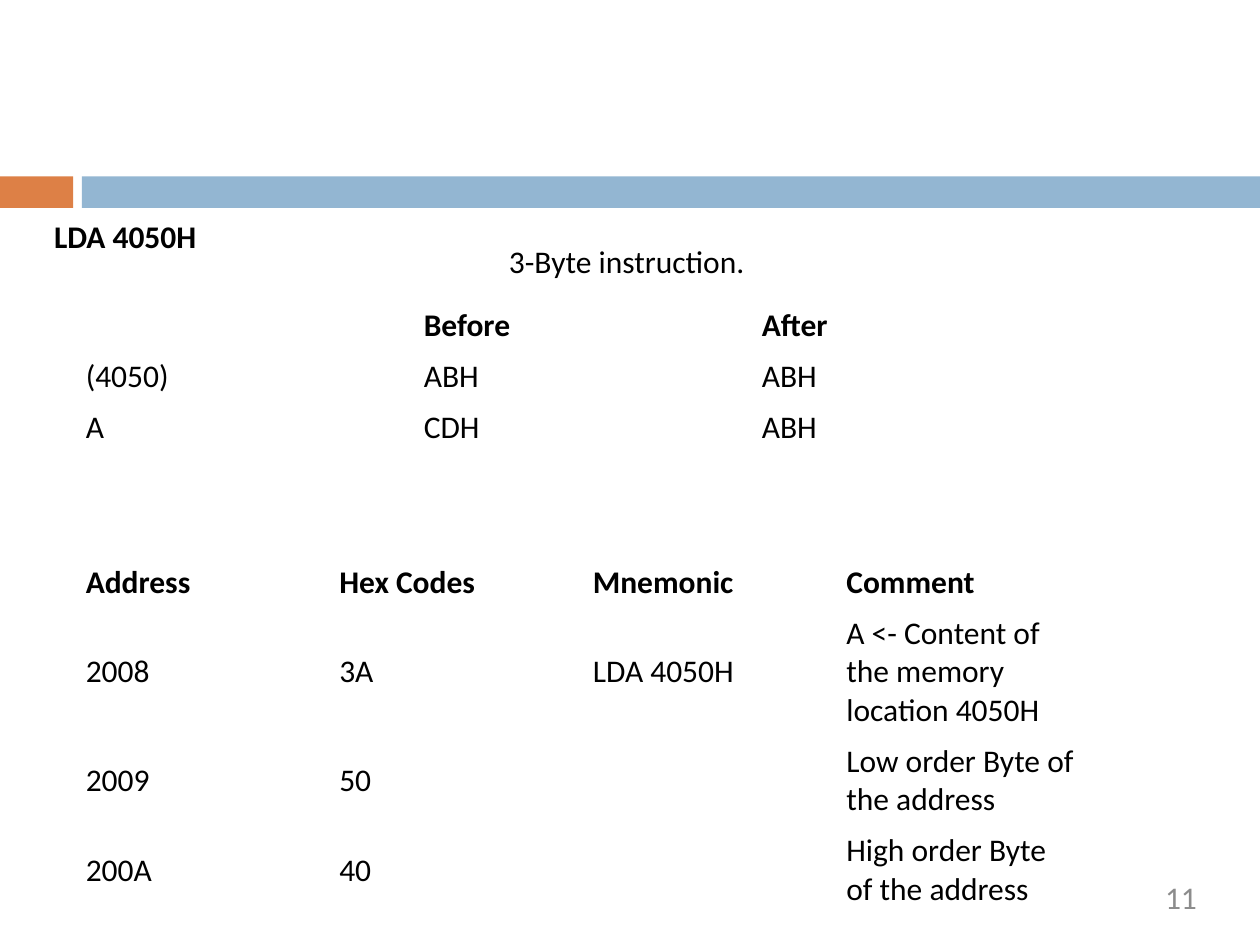
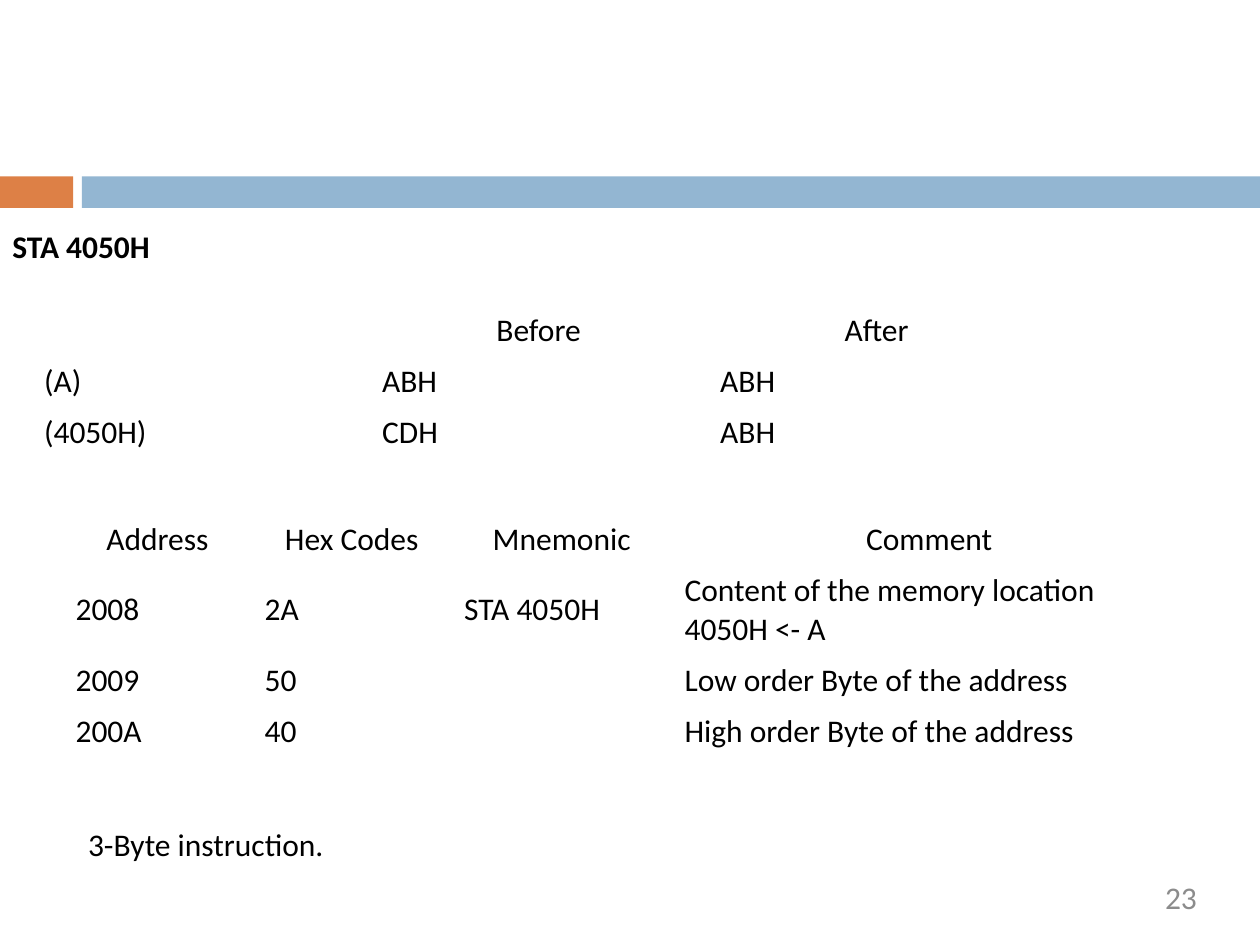
import pptx
import pptx.util
import pptx.dml.color
import pptx.enum.shapes
import pptx.enum.text

Pt = pptx.util.Pt
RGB = pptx.dml.color.RGBColor
ALIGN = pptx.enum.text.PP_ALIGN
ANCHOR = pptx.enum.text.MSO_ANCHOR
FIT = pptx.enum.text.MSO_AUTO_SIZE.SHAPE_TO_FIT_TEXT
RECT = pptx.enum.shapes.MSO_SHAPE.RECTANGLE

ORANGE = RGB(0xDD, 0x80, 0x46)
BLUE = RGB(0x93, 0xB6, 0xD2)
BLACK = RGB(0, 0, 0)
GREY = RGB(0x8C, 0x8C, 0x8C)
FONT = "Calibri"
SIZE = 18
LINE = 22
MARGIN = 3.6
WIDTH, HEIGHT = 720, 540


def add_run(para, text, color=BLACK, bold=False):
    run = para.add_run()
    run.text = text
    font = run.font
    font.name, font.size, font.bold = FONT, Pt(SIZE), bold
    font.color.rgb = color


def add_band(slide, left, width, color):
    band = slide.shapes.add_shape(RECT, Pt(left), Pt(100.8), Pt(width), Pt(18))
    band.shadow.inherit = False
    band.fill.solid()
    band.fill.fore_color.rgb = color
    band.line.fill.background()


def add_label(slide, text, left, top, width, bold=False):
    box = slide.shapes.add_textbox(Pt(left), Pt(top), Pt(width), Pt(29))
    frame = box.text_frame
    frame.word_wrap = False
    frame.auto_size = FIT
    add_run(frame.paragraphs[0], text, bold=bold)


def add_number(slide, number):
    box = slide.shapes.add_textbox(Pt(518.4), Pt(501.8), Pt(165.6), Pt(27.4))
    frame = box.text_frame
    frame.word_wrap = True
    frame.margin_left = frame.margin_right = 0
    frame.margin_top = frame.margin_bottom = 0
    para = frame.paragraphs[0]
    para.alignment = ALIGN.RIGHT
    add_run(para, str(number), GREY)


def add_grid(slide, left, top, widths, rows, lines, bold=False, align=ALIGN.LEFT):
    """Add a plain table; lines counts the text lines of each row,
    bold and align apply to its header row."""
    tall = [LINE * count + 2 * MARGIN for count in lines]
    frame = slide.shapes.add_table(len(rows), len(widths), Pt(left), Pt(top),
                                   Pt(sum(widths)), Pt(sum(tall)))
    table = frame.table
    table.first_row = table.horz_banding = False
    for col, width in zip(table.columns, widths):
        col.width = Pt(width)
    for r, (row, height) in enumerate(zip(rows, tall)):
        table.rows[r].height = Pt(height)
        for c, text in enumerate(row):
            cell = table.cell(r, c)
            cell.fill.background()
            cell.vertical_anchor = ANCHOR.MIDDLE
            para = cell.text_frame.paragraphs[0]
            para.font.size = Pt(SIZE)
            para.alignment = align if r == 0 else ALIGN.LEFT
            if text:
                add_run(para, text, bold=bold and r == 0)


def add_page(deck, number):
    slide = deck.slides.add_slide(deck.slide_layouts[6])
    add_band(slide, 0, 41.8, ORANGE)
    add_band(slide, 46.8, WIDTH - 46.8, BLUE)
    add_number(slide, number)
    return slide


def state_rows(first, second):
    """Both operands before and after: the second takes the first's value."""
    return [("", "Before", "After"),
            (first, "ABH", "ABH"),
            (second, "CDH", "ABH")]


def code_rows(opcode, order, note):
    return [("Address", "Hex Codes", "Mnemonic", "Comment"),
            ("2008", opcode, order, note),
            ("2009", "50", "", "Low order Byte of the address"),
            ("200A", "40", "", "High order Byte of the address")]


def add_load(deck):
    slide = add_page(deck, 11)
    add_label(slide, "LDA 4050H", 23.8, 120.2, 100.8, bold=True)
    add_grid(slide, 41.8, 171.4, [193.2] * 3, state_rows("(4050)", "A"),
             [1, 1, 1], bold=True)
    add_label(slide, "3-Byte instruction.", 283.7, 134.6, 154.8)
    add_grid(slide, 41.8, 318.2, [144.9] * 4,
             code_rows("3A", "LDA 4050H",
                       "A <- Content of the memory location 4050H"),
             [1, 3, 2, 2], bold=True)


def add_store(deck):
    slide = add_page(deck, 23)
    add_label(slide, "STA 4050H", 0, 126, 97.9, bold=True)
    add_grid(slide, 18, 174.2, [193.2] * 3, state_rows("(A)", "(4050H)"),
             [1, 1, 1], align=ALIGN.CENTER)
    add_grid(slide, 36, 293.8, [108, 114, 126, 294],
             code_rows("2A", "STA 4050H",
                       "Content of the memory location 4050H <- A"),
             [1, 2, 1, 1], align=ALIGN.CENTER)
    add_label(slide, "3-Byte instruction.", 43.2, 468, 154.8)


def main():
    deck = pptx.Presentation()
    deck.slide_width, deck.slide_height = Pt(WIDTH), Pt(HEIGHT)
    add_load(deck)
    add_store(deck)
    deck.save("out.pptx")


if __name__ == "__main__":
    main()
